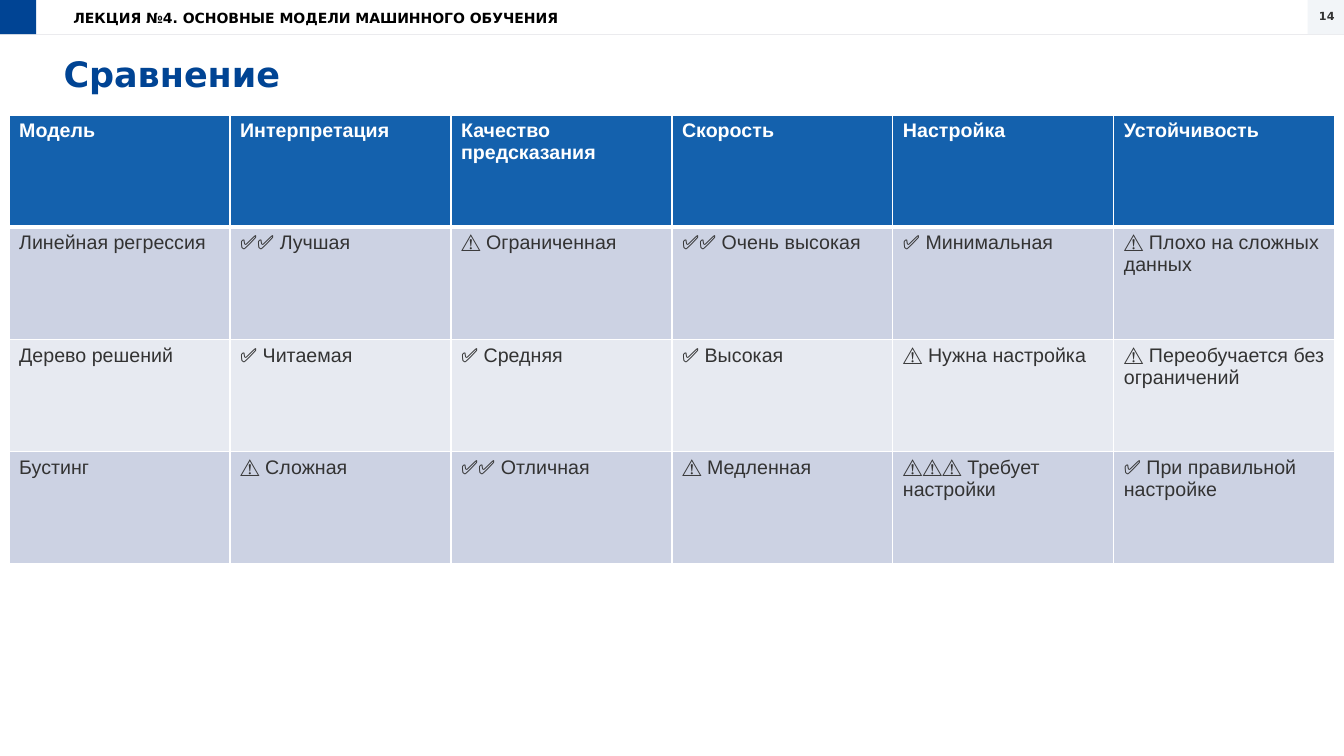
import lxml.etree
import pptx
import pptx.dml.color
import pptx.enum.shapes
import pptx.enum.text
import pptx.oxml.ns
import pptx.util

Inches = pptx.util.Inches
Pt = pptx.util.Pt
RGBColor = pptx.dml.color.RGBColor
ALIGN = pptx.enum.text.PP_ALIGN
ANCHOR = pptx.enum.text.MSO_ANCHOR
qn = pptx.oxml.ns.qn

BRAND_BLUE = RGBColor(0x00, 0x44, 0x94)
HEADER_BLUE = RGBColor(0x14, 0x61, 0xAD)
BAND_DARK = RGBColor(0xCC, 0xD2, 0xE3)
BAND_LIGHT = RGBColor(0xE7, 0xEA, 0xF1)
PAGE_GREY = RGBColor(0xF2, 0xF5, 0xF8)
RULE_GREY = RGBColor(0xEB, 0xEB, 0xEE)
TEXT_GREY = RGBColor(0x33, 0x33, 0x33)
BLACK = RGBColor(0x00, 0x00, 0x00)
WHITE = RGBColor(0xFF, 0xFF, 0xFF)

TITLE_FONT = {"name": "DejaVu Sans", "size": Pt(25), "bold": True}
LECTURE_FONT = {"name": "DejaVu Sans", "size": Pt(10), "bold": True}
PAGE_FONT = {"name": "DejaVu Sans", "size": Pt(8), "bold": True}
HEADER_FONT = {"name": "Arial", "size": Pt(14), "bold": True}
CELL_FONT = {"name": "Arial", "size": Pt(14), "bold": False}
TITLE_FRAME = {"margin_left": 0, "margin_top": 0, "margin_right": 0, "margin_bottom": 0,
               "vertical_anchor": ANCHOR.TOP, "word_wrap": True}

COMPARISON = [
    ["Модель", "Интерпретация", "Качество предсказания", "Скорость", "Настройка",
     "Устойчивость"],
    ["Линейная регрессия", "✅✅ Лучшая", "⚠️ Ограниченная", "✅✅ Очень высокая",
     "✅ Минимальная", "⚠️ Плохо на сложных данных"],
    ["Дерево решений", "✅ Читаемая", "✅ Средняя", "✅ Высокая",
     "⚠️ Нужна настройка", "⚠️ Переобучается без ограничений"],
    ["Бустинг", "⚠️ Сложная", "✅✅ Отличная", "⚠️ Медленная",
     "⚠️⚠️⚠️ Требует настройки", "✅ При правильной настройке"],
]


def apply_format(target, values):
    for name, value in values.items():
        setattr(target, name, value)


def write_text(frame, text, font, color, align=ALIGN.LEFT):
    paragraph = frame.paragraphs[0]
    paragraph.alignment = align
    run = paragraph.add_run()
    run.text = text
    apply_format(run.font, font)
    run.font.color.rgb = color


def add_label(slide, box, text, font, color, align=ALIGN.LEFT):
    frame = slide.shapes.add_textbox(*map(Inches, box)).text_frame
    frame.word_wrap = True
    write_text(frame, text, font, color, align)


def add_block(slide, box, color):
    block = slide.shapes.add_shape(pptx.enum.shapes.MSO_SHAPE.RECTANGLE, *map(Inches, box))
    block.shadow.inherit = False
    block.fill.solid()
    block.fill.fore_color.rgb = color
    block.line.fill.background()


def add_header(slide, box, lecture, page):
    """Top strip: emblem block, lecture name, page number and the rule beneath."""
    left, top, width, height = box
    right, bottom = left + width, top + height
    rule = slide.shapes.add_connector(pptx.enum.shapes.MSO_CONNECTOR.STRAIGHT,
                                      *map(Inches, (left, bottom, right, bottom)))
    rule.line.color.rgb = RULE_GREY
    rule.line.width = Pt(0.75)
    lxml.etree.SubElement(rule._element.spPr, qn("a:effectLst"))
    add_block(slide, (left, top, 0.36, height), BRAND_BLUE)
    add_block(slide, (right - 0.36, top, 0.36, height), PAGE_GREY)
    add_label(slide, (right - 0.4, top + 0.04, 0.46, 0.24), page, PAGE_FONT, TEXT_GREY,
              ALIGN.CENTER)
    add_label(slide, (left + 0.63, top + 0.05, 6.67, 0.27), lecture, LECTURE_FONT, BLACK)


def add_title(slide, box, text):
    title = slide.shapes.title
    apply_format(title, dict(zip(("left", "top", "width", "height"), map(Inches, box))))
    apply_format(title.text_frame, TITLE_FRAME)
    write_text(title.text_frame, text, TITLE_FONT, BRAND_BLUE)


def set_borders(cell, bottom_width):
    properties = cell._tc.get_or_add_tcPr()
    for side, width in (("L", 1), ("R", 1), ("T", 1), ("B", bottom_width)):
        border = lxml.etree.SubElement(properties, qn(f"a:ln{side}"), w=str(Pt(width)))
        fill = lxml.etree.SubElement(border, qn("a:solidFill"))
        lxml.etree.SubElement(fill, qn("a:srgbClr"), val=str(WHITE))


def add_comparison(slide, box, rows):
    left, top, width, height = map(Inches, box)
    table = slide.shapes.add_table(len(rows), len(rows[0]), left, top, width, height).table
    for row_index, row in enumerate(rows):
        is_header = row_index == 0
        band = HEADER_BLUE if is_header else BAND_DARK if row_index % 2 else BAND_LIGHT
        font, color = (HEADER_FONT, WHITE) if is_header else (CELL_FONT, TEXT_GREY)
        for column_index, text in enumerate(row):
            cell = table.cell(row_index, column_index)
            set_borders(cell, 3 if is_header else 1)
            cell.fill.solid()
            cell.fill.fore_color.rgb = band
            write_text(cell.text_frame, text, font, color)


def main():
    presentation = pptx.Presentation()
    presentation.slide_width = Inches(13.33)
    presentation.slide_height = Inches(7.5)
    slide = presentation.slides.add_slide(presentation.slide_layouts[5])
    add_header(slide, (0, 0, 13.33, 0.34),
               "ЛЕКЦИЯ №4. ОСНОВНЫЕ МОДЕЛИ МАШИННОГО ОБУЧЕНИЯ", "14")
    add_title(slide, (0.63, 0.52, 12.07, 0.62), "Сравнение")
    add_comparison(slide, (0.09, 1.14, 13.15, 4.45), COMPARISON)
    presentation.save("out.pptx")


if __name__ == "__main__":
    main()
